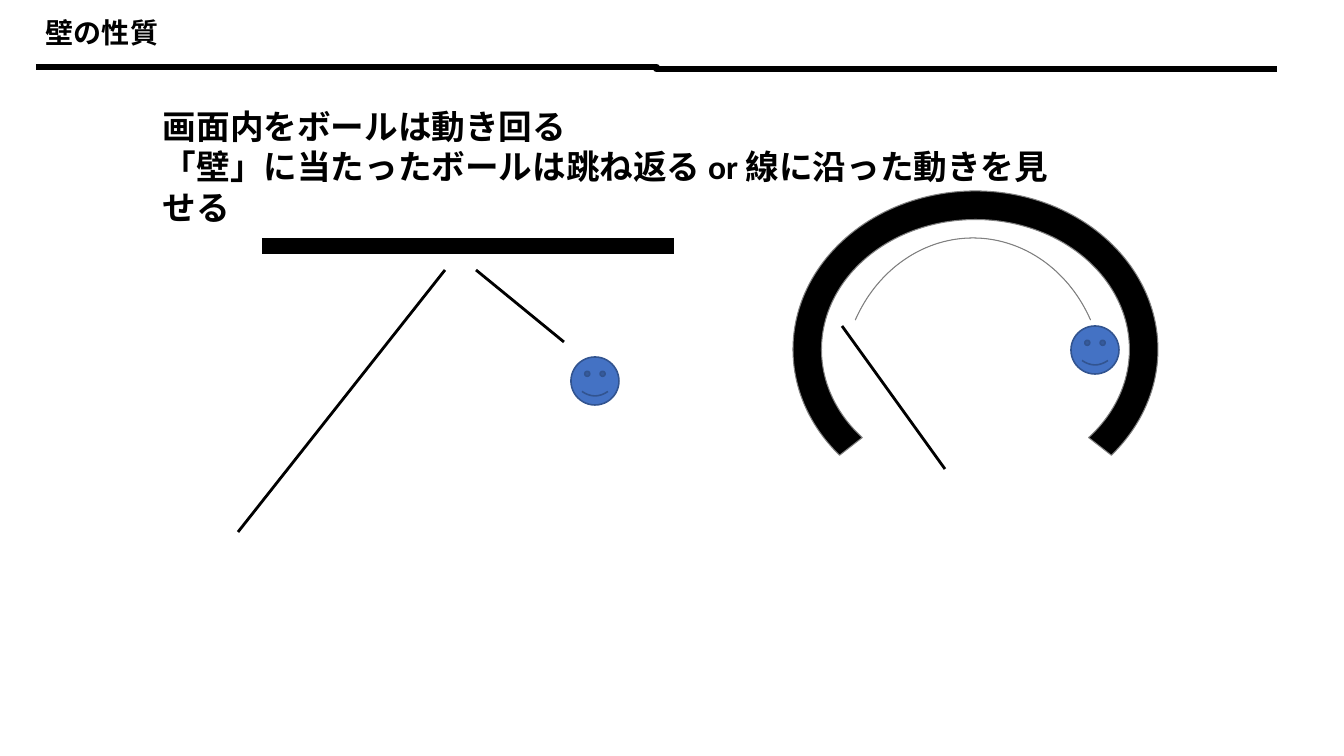
"""Builds the slide on how walls act on a moving ball."""
from lxml.etree import SubElement
from pptx import Presentation
from pptx.dml.color import RGBColor
from pptx.enum.shapes import MSO_CONNECTOR as LINK, MSO_SHAPE as SHAPE
from pptx.enum.text import MSO_ANCHOR, PP_ALIGN
from pptx.oxml.ns import qn
from pptx.util import Emu, Pt

SCALE = 914400 / 100.8
COLORS = {"ink": "000000", "paper": "FFFFFF", "ball": "4472C4",
          "edge": "325490", "gray": "808080"}


def px(size):
    return Emu(round(size * SCALE))


def tint(name):
    return RGBColor.from_string(COLORS[name])


class Board:
    def __init__(self, slide, font):
        self.shapes = slide.shapes
        self.font = font

    def fill_text(self, frame, lines, size):
        frame.word_wrap = True
        for index, words in enumerate(lines):
            para = frame.paragraphs[0] if index == 0 else frame.add_paragraph()
            para.alignment = PP_ALIGN.LEFT
            run = para.add_run()
            run.text = words
            run.font.name = self.font
            run.font.size = Pt(size)
            run.font.bold = True
            run.font.color.rgb = tint("ink")

    def text(self, box, lines, size):
        frame = self.shapes.add_textbox(*map(px, box)).text_frame
        self.fill_text(frame, lines, size)

    def shape(self, kind, box, fill, edge=None, width=0, bends=()):
        item = self.shapes.add_shape(kind, *map(px, box))
        item.shadow.inherit = False
        item.fill.solid()
        item.fill.fore_color.rgb = tint(fill)
        if edge:
            item.line.color.rgb = tint(edge)
            item.line.width = Pt(width)
        else:
            item.line.fill.background()
        for index, bend in enumerate(bends):
            item.adjustments[index] = bend
        return item

    def title(self, box, words, size):
        frame = self.shape(SHAPE.RECTANGLE, box, "paper").text_frame
        frame.vertical_anchor = MSO_ANCHOR.TOP
        self.fill_text(frame, [words], size)

    def line(self, ends, width=0, kind=LINK.STRAIGHT):
        item = self.shapes.add_connector(kind, *map(px, ends))
        item.line.color.rgb = tint("ink")
        item.line.width = Pt(width)
        SubElement(item._element.spPr, qn("a:effectLst"))

    def ball(self, left, top):
        self.shape(SHAPE.SMILEY_FACE, (left, top, 48, 48), "ball", "edge", 1.13)

    def arc(self, box, bends):
        self.shape(SHAPE.BLOCK_ARC, box, "ink", "gray", 0, bends)


deck = Presentation()
deck.slide_width, deck.slide_height = px(1344), px(756)
board = Board(deck.slides.add_slide(deck.slide_layouts[6]), "Calibri")

board.title((36, 11, 1139, 43), "壁の性質", 20)
board.line((36, 67, 1277, 69), 4.51, LINK.ELBOW)
board.line((262, 246, 674, 246), 11.34)
board.text((153, 101, 907, 131),
           ["画面内をボールは動き回る",
            "「壁」に当たったボールは跳ね返る or 線に沿った動きを見せる"], 24)

board.ball(571, 357)
for ends in ((238, 532, 445, 270), (476, 270, 564, 342)):
    board.line(ends)

board.arc((793, 191, 365, 317), (85.26, 22.74, 0.09))
board.ball(1071, 326)
board.line((945, 469, 842, 326))
board.arc((842, 238, 262, 293), (125.28, 198.72, 0))

deck.save("out.pptx")
